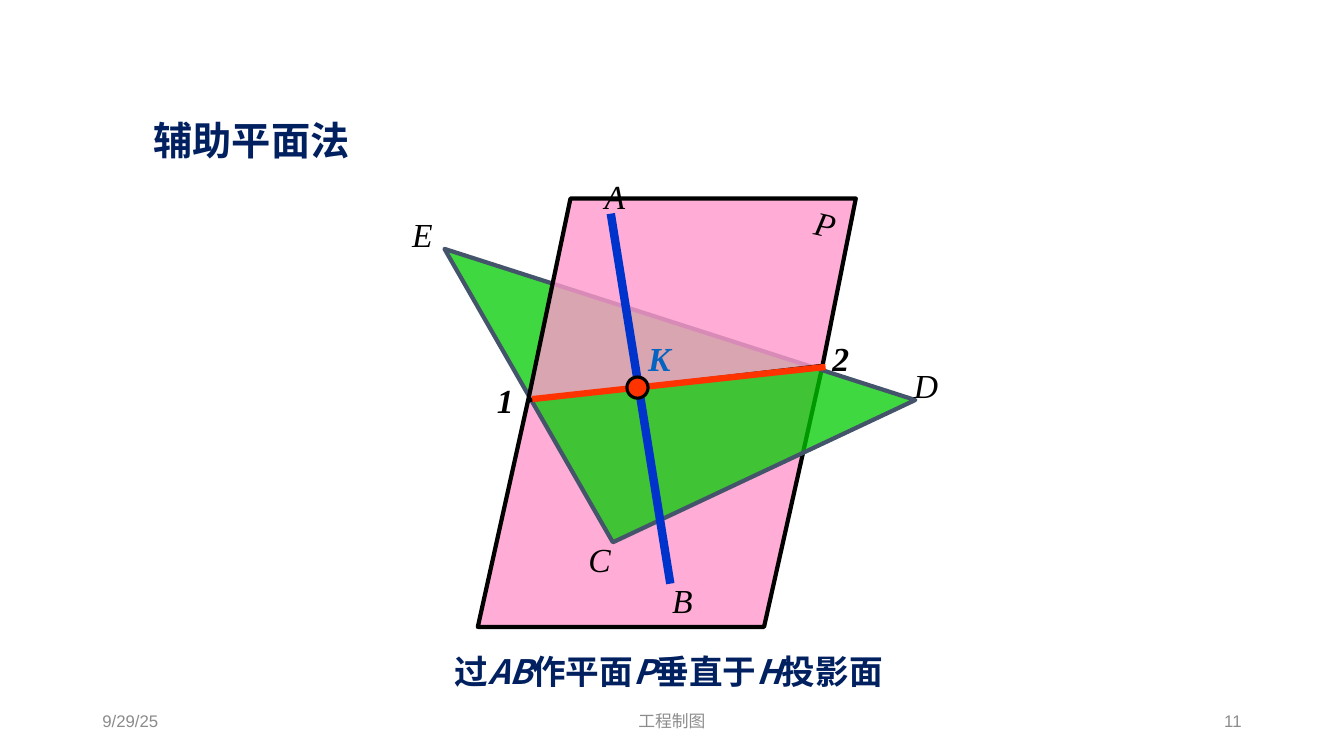
import pptx
import pptx.dml.color
import pptx.enum.shapes
import pptx.enum.text
import pptx.oxml
import pptx.oxml.ns
import pptx.util

RGBColor = pptx.dml.color.RGBColor
Pt = pptx.util.Pt
qn = pptx.oxml.ns.qn
ALIGN = pptx.enum.text.PP_ALIGN
ANCHOR = pptx.enum.text.MSO_ANCHOR

NAVY = RGBColor(0x00, 0x20, 0x60)
BLACK = RGBColor(0x00, 0x00, 0x00)
GREY = RGBColor(0x8C, 0x8C, 0x8C)
PINK = RGBColor(0xFF, 0x99, 0xCC)
GREEN = RGBColor(0x00, 0xCC, 0x00)
SLATE = RGBColor(0x44, 0x54, 0x6A)
RED = RGBColor(0xFF, 0x33, 0x00)
BLUE = RGBColor(0x00, 0x33, 0xCC)
LINK_BLUE = RGBColor(0x05, 0x63, 0xC1)

HEADING_FONT = "Noto Sans CJK SC"
LABEL_FONT = "Times New Roman"
FOOTER_FONT = "Arial"


class Diagram:
    """Holds the slide and draws its elements, all lengths in points."""

    def __init__(self, slide):
        self.slide = slide
        self.shapes = slide.shapes

    def format_runs(self, paragraph, font, size, color, bold=False):
        for run in paragraph.runs:
            run.font.name = font
            run.font.size = Pt(size)
            run.font.bold = bold
            run.font.color.rgb = color
            if font == HEADING_FONT:
                east_asian = pptx.oxml.parse_xml(
                    '<a:ea xmlns:a="http://schemas.openxmlformats.org/drawingml/2006/main"'
                    f' typeface="{font}"/>')
                run.font._element.find(qn("a:latin")).addnext(east_asian)

    def title(self, text, left, top, width, height):
        heading = self.shapes.title
        heading.left, heading.top = Pt(left), Pt(top)
        heading.width, heading.height = Pt(width), Pt(height)
        frame = heading.text_frame
        frame.text = text
        frame.vertical_anchor = ANCHOR.TOP
        frame.auto_size = pptx.enum.text.MSO_AUTO_SIZE.NONE
        paragraph = frame.paragraphs[0]
        paragraph.alignment = ALIGN.CENTER
        paragraph.line_spacing = 0.9
        self.format_runs(paragraph, HEADING_FONT, 28, NAVY, bold=True)

    def text_frame(self, left, top, width, height, rotation=0):
        box = self.shapes.add_textbox(Pt(left), Pt(top), Pt(width), Pt(height))
        box.rotation = rotation
        box.text_frame.word_wrap = True
        return box.text_frame

    def footer(self, text, left, width, alignment):
        frame = self.text_frame(left, 500.4, width, 28.8)
        frame.vertical_anchor = ANCHOR.MIDDLE
        frame.text = text
        frame.paragraphs[0].alignment = alignment
        self.format_runs(frame.paragraphs[0], FOOTER_FONT, 12, GREY)

    def caption(self, parts, left, top, width, height):
        """Write the parts in turn; the Latin ones are italic."""
        paragraph = self.text_frame(left, top, width, height).paragraphs[0]
        paragraph.line_spacing = 0.85
        for part in parts:
            run = paragraph.add_run()
            run.text = part
            run.font.italic = part.isascii()
        self.format_runs(paragraph, HEADING_FONT, 24, NAVY, bold=True)

    def label(self, text, left, top, width, color=BLACK, bold=False, rotation=0):
        frame = self.text_frame(left, top, width, 36, rotation)
        frame.text = text
        self.format_runs(frame.paragraphs[0], LABEL_FONT, 24, color, bold)
        frame.paragraphs[0].runs[0].font.italic = True

    def polygon(self, corners, fill, opacity, outline):
        start, *others = [(Pt(x), Pt(y)) for x, y in corners]
        builder = self.shapes.build_freeform(*start)
        builder.add_line_segments(others, close=True)
        area = builder.convert_to_shape()
        self.style(area, fill, outline, 3)
        color = area.fill._xPr.find(qn("a:solidFill"))[0]
        color.makeelement(qn("a:alpha"))
        alpha = color.makeelement(qn("a:alpha"), {"val": str(opacity * 1000)})
        color.append(alpha)
        line = area.line._get_or_add_ln()
        line.append(line.makeelement(qn("a:round")))

    def dot(self, left, top, diameter):
        point = self.shapes.add_shape(pptx.enum.shapes.MSO_SHAPE.OVAL, Pt(left),
                                      Pt(top), Pt(diameter), Pt(diameter))
        self.style(point, RED, BLACK, 2.25)

    def style(self, shape, fill, outline, weight):
        shape.shadow.inherit = False
        shape.fill.solid()
        shape.fill.fore_color.rgb = fill
        shape.line.color.rgb = outline
        shape.line.width = Pt(weight)

    def line(self, start, end, color, weight):
        segment = self.shapes.add_connector(
            pptx.enum.shapes.MSO_CONNECTOR.STRAIGHT,
            *(Pt(value) for value in (*start, *end)))
        segment.line.color.rgb = color
        segment.line.width = Pt(weight)
        properties = segment._element.spPr
        properties.append(properties.makeelement(qn("a:effectLst")))


def main():
    presentation = pptx.Presentation()
    presentation.slide_width, presentation.slide_height = Pt(960), Pt(540)
    diagram = Diagram(presentation.slides.add_slide(presentation.slide_layouts[5]))

    diagram.title("辅助平面法", 33.1, 83.5, 293, 41)
    diagram.footer("9/29/25", 66, 216, ALIGN.LEFT)
    diagram.footer("工程制图", 318, 324, ALIGN.CENTER)
    diagram.footer("11", 678, 216, ALIGN.RIGHT)
    diagram.caption(["过", "AB", "作平面", "P", "垂直于", "H", "投影面"],
                    317.5, 465.8, 343.4, 36)

    point_1, point_2 = (377.3, 285.8), (587.5, 261.4)
    lower_plane = [point_1, (341.3, 447.8), (545.8, 447.8), point_2]
    triangle = [(317.5, 177.8), (437.8, 387.4), (653.8, 285.8)]
    upper_plane = [(407.5, 141.8), point_1, point_2, (611.3, 141.8)]
    diagram.polygon(lower_plane, PINK, 80, BLACK)
    diagram.polygon(triangle, GREEN, 75, SLATE)
    diagram.polygon(upper_plane, PINK, 80, BLACK)

    diagram.line((380.2, 285.1), (589.7, 262.1), RED, 4.5)
    diagram.line((436.3, 152.6), (478.8, 416.9), BLUE, 6)
    diagram.dot(447.8, 269.3, 15.1)

    for text, left, top, width in [("A", 424.8, 122.4, 46), ("B", 473, 410.4, 46),
                                   ("C", 413.3, 381.6, 52), ("D", 645.8, 257, 52),
                                   ("E", 287.3, 149, 46)]:
        diagram.label(text, left, top, width)
    diagram.label("P", 575.3, 141.8, 28.8, rotation=12.6)
    diagram.label("1", 347.8, 267.8, 30.2, bold=True)
    diagram.label("2", 587.5, 237.6, 30.2, bold=True)
    diagram.label("K", 455.8, 237.6, 35.3, LINK_BLUE, bold=True)

    presentation.save("out.pptx")


if __name__ == "__main__":
    main()
